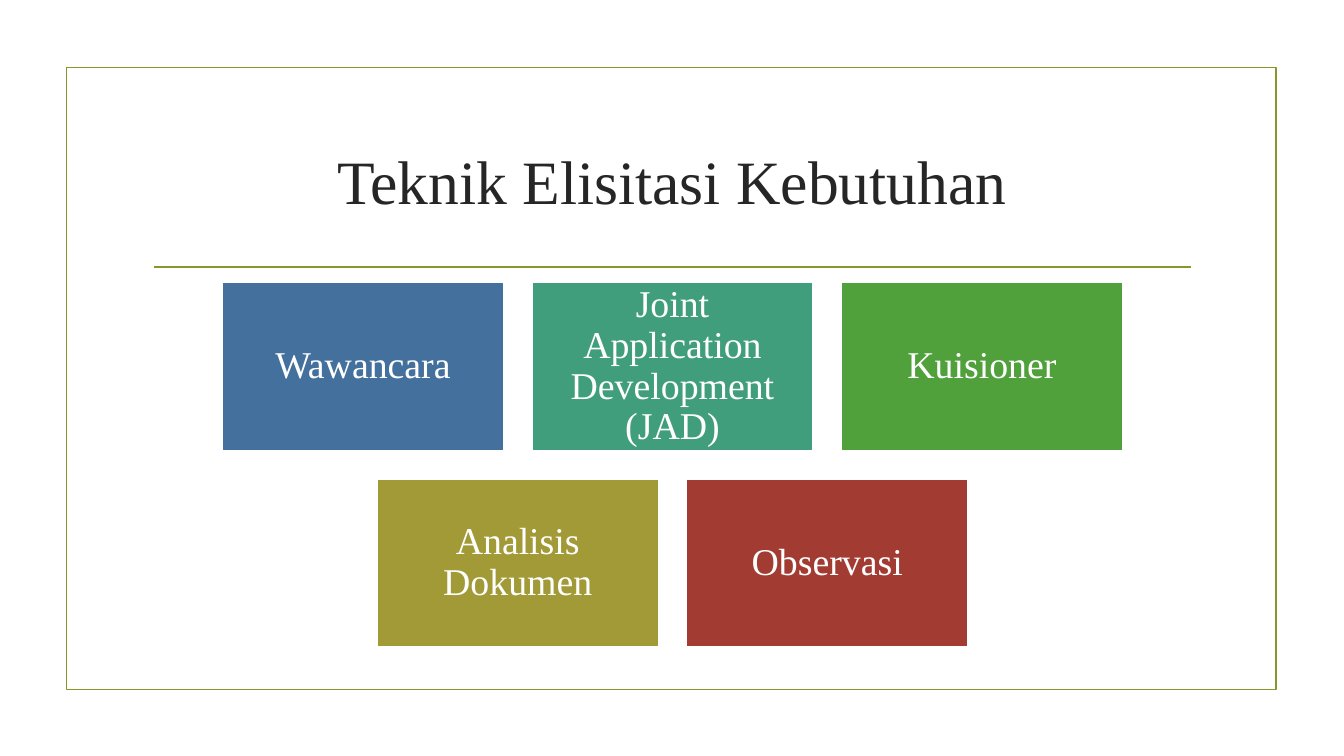
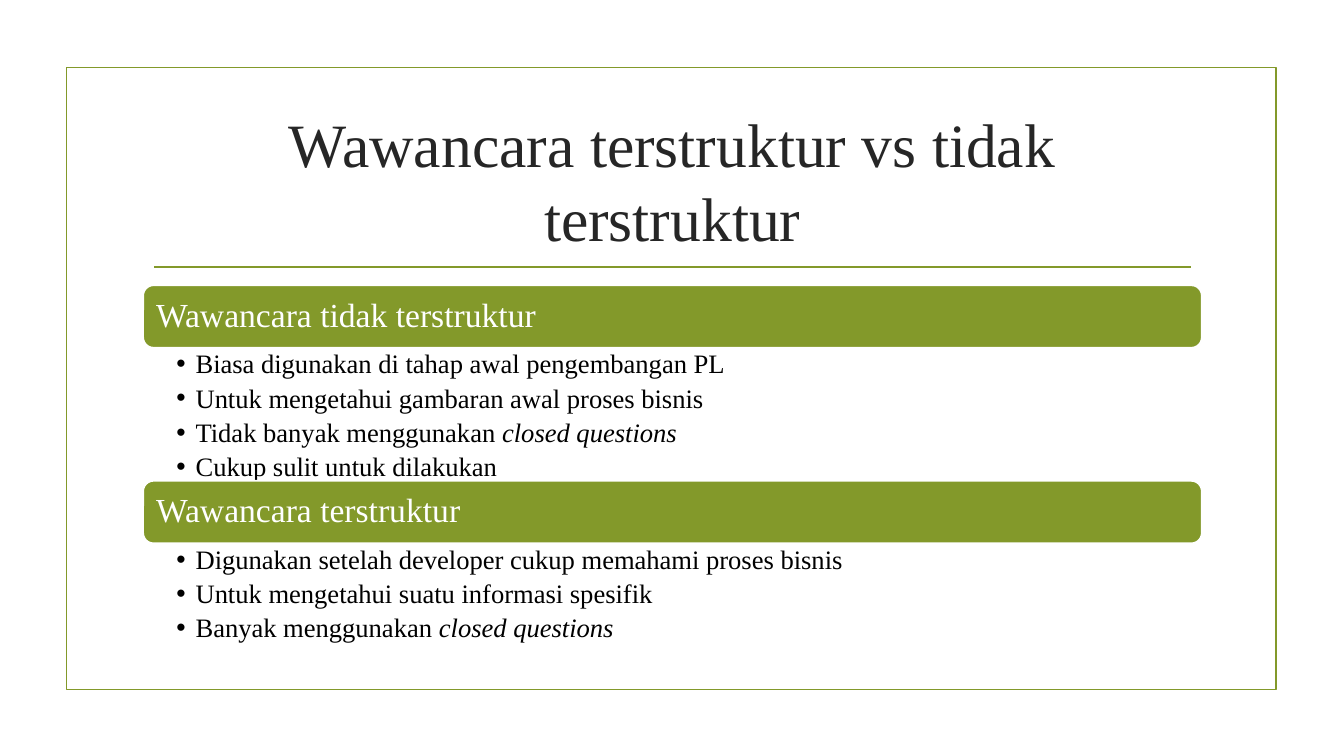
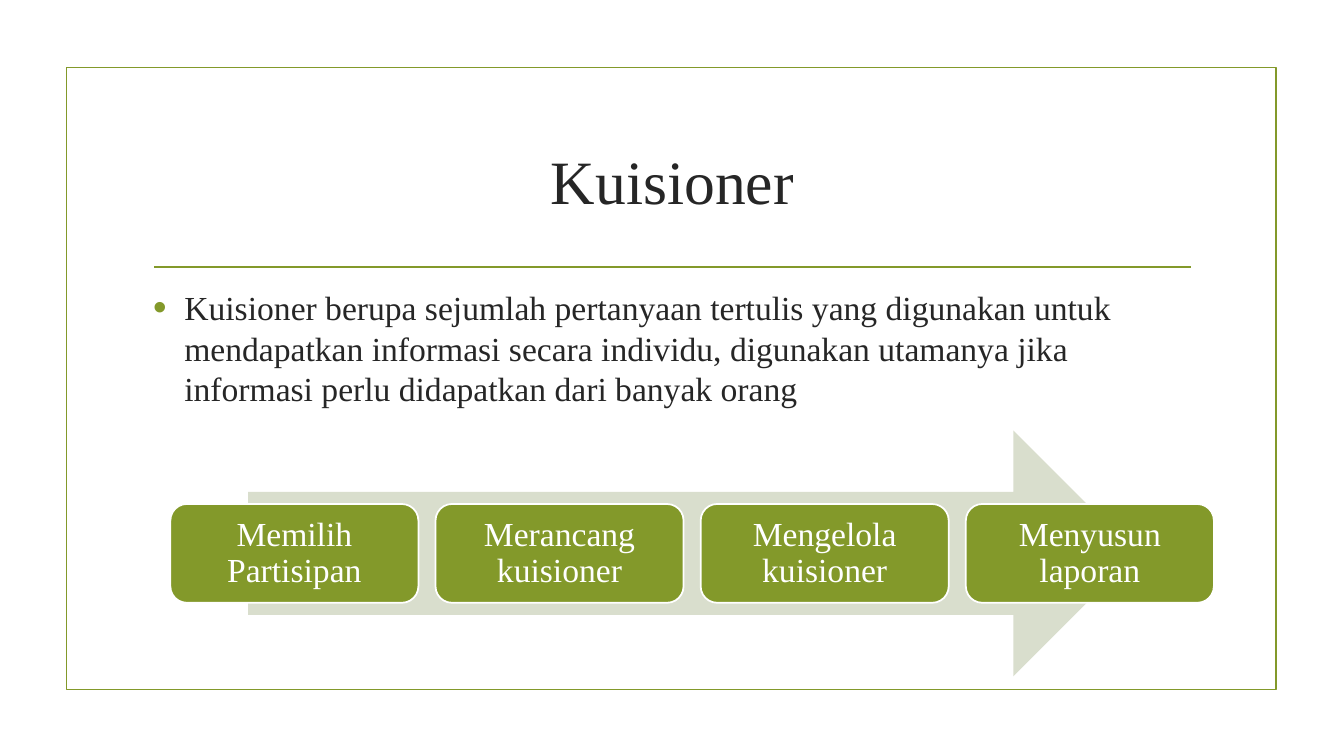
from dataclasses import dataclass

from lxml.etree import SubElement
from pptx import Presentation
from pptx.dml.color import RGBColor
from pptx.enum.shapes import MSO_CONNECTOR as Connector, MSO_SHAPE as Shape
from pptx.enum.text import MSO_ANCHOR as Anchor, PP_ALIGN as Align
from pptx.oxml.ns import qn
from pptx.util import Inches, Pt


@dataclass(frozen=True)
class Theme:
    """Colours, font and type sizes of the deck."""
    font: str = "Times New Roman"
    accent: str = "83992A"
    pale: str = "D9DECD"
    ink: str = "262626"
    black: str = "000000"
    white: str = "FFFFFF"
    tiles: tuple = ("44709D", "409E7D", "50A03B", "A19A37", "A23C33")
    title: int = 44
    tile: int = 27
    body: int = 24
    detail: int = 19
    line: float = 1.25


THEME = Theme()
LEFT, WIDTH = 1.42, 10.5


def box(*lengths):
    """Convert left, top, width and height to Inches."""
    return [Inches(length) for length in lengths]


def add_block(slide, kind, place, fill=None, line=None):
    """Add a preset shape with a plain fill and outline."""
    block = slide.shapes.add_shape(kind, *box(*place))
    block.shadow.inherit = False
    if fill:
        block.fill.solid()
        block.fill.fore_color.rgb = RGBColor.from_string(fill)
    else:
        block.fill.background()
    if line:
        block.line.color.rgb = RGBColor.from_string(line)
        block.line.width = Pt(THEME.line)
    else:
        block.line.fill.background()
    return block


def set_frame(holder, insets, anchor):
    """Set wrapping, insets and anchor, and return the text frame."""
    frame = holder.text_frame
    frame.word_wrap = True
    frame.vertical_anchor = anchor
    (frame.margin_left, frame.margin_top,
     frame.margin_right, frame.margin_bottom) = box(*insets)
    return frame


def add_text(slide, place, insets=(0.1, 0.05, 0.1, 0.05), anchor=Anchor.TOP):
    """Add a wrapping text box and return its frame."""
    return set_frame(slide.shapes.add_textbox(*box(*place)), insets, anchor)


def write(paragraph, runs, size, color, align=Align.LEFT, spacing=None):
    """Write (text, italic) runs into a paragraph."""
    paragraph.alignment = align
    paragraph.line_spacing = spacing
    for text, italic in runs:
        run = paragraph.add_run()
        run.text = text
        run.font.name = THEME.font
        run.font.size = Pt(size)
        run.font.italic = italic
        run.font.color.rgb = RGBColor.from_string(color)


def set_bullet(paragraph, indent, color=None, percent=100):
    """Give a paragraph a hanging round bullet."""
    properties = paragraph._p.get_or_add_pPr()
    properties.set("marL", str(Inches(indent)))
    properties.set("indent", str(-Inches(indent)))
    if color:
        bullet_color = SubElement(properties, qn("a:buClr"))
        SubElement(bullet_color, qn("a:srgbClr"), val=color)
    SubElement(properties, qn("a:buSzPct"), val=str(percent * 1000))
    SubElement(properties, qn("a:buFont"), typeface="Arial")
    SubElement(properties, qn("a:buChar"), char="•")


def add_label(slide, kind, place, text, fill, size, inset=0.1, align=Align.CENTER):
    """Add a filled shape with white text."""
    label = add_block(slide, kind, place, fill, THEME.white)
    frame = set_frame(label, [inset] * 4, Anchor.MIDDLE)
    write(frame.paragraphs[0], [(text, False)], size, THEME.white, align, 0.9)


def start_slide(deck, title):
    """Add a slide with the shared frame, rule and title."""
    slide = deck.slides.add_slide(deck.slide_layouts[6])
    add_block(slide, Shape.RECTANGLE, (0.66, 0.67, 12, 6.17), line=THEME.accent)
    rule = slide.shapes.add_connector(Connector.STRAIGHT, *box(1.53, 2.65, 11.81, 2.65))
    rule.line.color.rgb = RGBColor.from_string(THEME.accent)
    rule.line.width = Pt(THEME.line)
    SubElement(rule._element.spPr, qn("a:effectLst"))
    heading = add_text(slide, (LEFT, 1.07, WIDTH, 1.43), anchor=Anchor.MIDDLE)
    write(heading.paragraphs[0], [(title, False)], THEME.title, THEME.ink, Align.CENTER)
    return slide


def add_tiles(slide, rows):
    """Lay out rows of coloured tiles, each row centred."""
    width, height, gap, center = 2.79, 1.67, 0.28, 6.67
    colors = iter(THEME.tiles)
    for row, names in enumerate(rows):
        left = center - (len(names) * (width + gap) - gap) / 2
        top = 2.8 + row * (height + gap)
        for column, name in enumerate(names):
            place = (left + column * (width + gap), top, width, height)
            add_label(slide, Shape.RECTANGLE, place, name, next(colors), THEME.tile, 0.11)


def add_section(slide, top, heading, height, points):
    """Add a heading bar with a bulleted list under it."""
    bar = 0.62
    add_label(slide, Shape.ROUNDED_RECTANGLE, (LEFT, top, WIDTH, bar), heading,
              THEME.accent, THEME.body, align=Align.LEFT)
    frame = add_text(slide, (LEFT, top + bar, WIDTH, height), (0.33, 0.03, 0.19, 0.03))
    for index, runs in enumerate(points):
        paragraph = frame.add_paragraph() if index else frame.paragraphs[0]
        set_bullet(paragraph, 0.19)
        paragraph.space_after = Pt(4)
        write(paragraph, runs, THEME.detail, THEME.black, spacing=0.9)


def add_process(slide, steps):
    """Add a row of steps over a wide arrow."""
    add_block(slide, Shape.RIGHT_ARROW, (2.46, 4.27, 8.81, 2.44), THEME.pale)
    for index, step in enumerate(steps):
        place = (1.69 + index * 2.63, 5, 2.46, 0.98)
        add_label(slide, Shape.ROUNDED_RECTANGLE, place, step, THEME.accent, THEME.body)


def main():
    """Build and save the deck."""
    deck = Presentation()
    deck.slide_width, deck.slide_height = Inches(13.33), Inches(7.5)

    techniques = start_slide(deck, "Teknik Elisitasi Kebutuhan")
    add_tiles(techniques, [
        ["Wawancara", "Joint Application Development (JAD)", "Kuisioner"],
        ["Analisis Dokumen", "Observasi"],
    ])

    interviews = start_slide(deck, "Wawancara terstruktur vs tidak terstruktur")
    add_section(interviews, 2.83, "Wawancara tidak terstruktur", 1.33, [
        [("Biasa digunakan di tahap awal pengembangan PL", False)],
        [("Untuk mengetahui gambaran awal proses bisnis", False)],
        [("Tidak banyak menggunakan ", False), ("closed questions", True)],
        [("Cukup sulit untuk dilakukan", False)],
    ])
    add_section(interviews, 4.77, "Wawancara terstruktur", 1.01, [
        [("Digunakan setelah developer cukup memahami proses bisnis", False)],
        [("Untuk mengetahui suatu informasi spesifik", False)],
        [("Banyak menggunakan ", False), ("closed questions", True)],
    ])

    survey = start_slide(deck, "Kuisioner")
    summary = add_text(survey, (LEFT, 2.8, WIDTH, 1.4)).paragraphs[0]
    set_bullet(summary, 0.31, THEME.accent, 115)
    write(summary, [(
        "Kuisioner berupa sejumlah pertanyaan tertulis yang digunakan untuk "
        "mendapatkan informasi secara individu, digunakan utamanya jika "
        "informasi perlu didapatkan dari banyak orang", False)], THEME.body, THEME.ink)
    add_process(survey, ["Memilih Partisipan", "Merancang kuisioner",
                         "Mengelola kuisioner", "Menyusun laporan"])
    deck.save("out.pptx")


if __name__ == "__main__":
    main()
